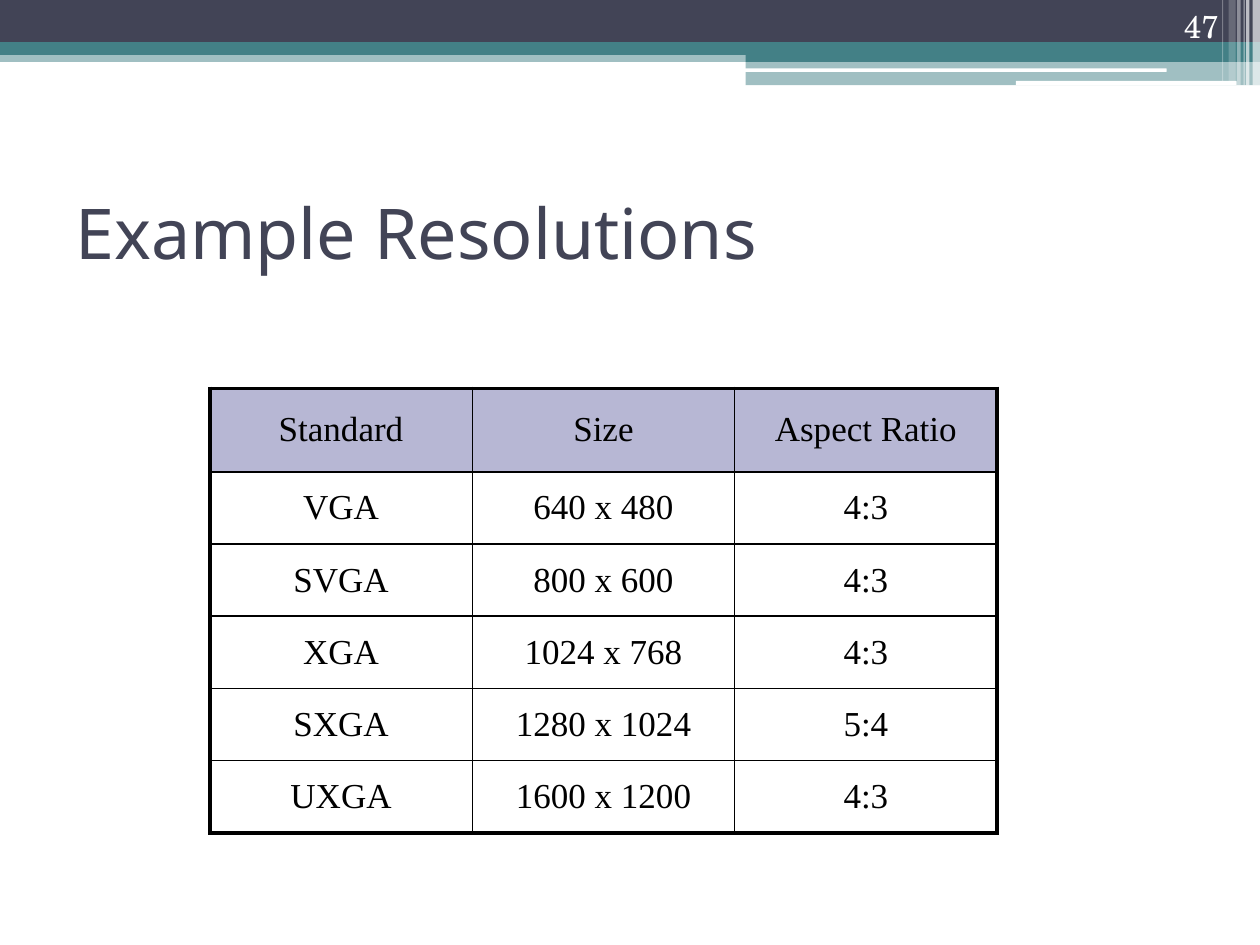
import pptx
import pptx.util
import pptx.dml.color
import pptx.enum.shapes
import pptx.enum.text
import pptx.oxml
import pptx.oxml.ns
import lxml.etree

Cm = pptx.util.Cm
Pt = pptx.util.Pt
COLORS = {"navy": "424456", "teal": "438086", "white": "FFFFFF",
          "black": "000000", "header": "B7B7D4"}
RECTANGLE = pptx.enum.shapes.MSO_SHAPE.RECTANGLE
ROUNDED = pptx.enum.shapes.MSO_SHAPE.ROUNDED_RECTANGLE
ALIGN = pptx.enum.text.PP_ALIGN
ANCHOR = pptx.enum.text.MSO_ANCHOR


def rgb(name):
    return pptx.dml.color.RGBColor.from_string(COLORS[name])


def write_text(frame, text, font_name, size, color, alignment):
    paragraph = frame.paragraphs[0]
    paragraph.text = text
    paragraph.alignment = alignment
    paragraph.font.name = font_name
    paragraph.font.size = Pt(size)
    paragraph.font.color.rgb = rgb(color)


presentation = pptx.Presentation()
presentation.slide_width = Cm(25.4)
presentation.slide_height = Cm(19.05)
slide = presentation.slides.add_slide(presentation.slide_layouts[6])

bands = [
    (RECTANGLE, 0, 1.02, 25.4, 0.23, "teal", 50),
    (RECTANGLE, 0, 0, 25.4, 0.86, "navy", 100),
    (RECTANGLE, 0, 0.85, 25.4, 0.26, "teal", 100),
    (RECTANGLE, 15.03, 0.99, 10.37, 0.26, "teal", 100),
    (RECTANGLE, 15.03, 1.25, 10.37, 0.47, "teal", 50),
    (ROUNDED, 15.01, 1.38, 8.51, 0.07, "white", 100),
    (ROUNDED, 20.48, 1.63, 4.45, 0.09, "white", 100),
]
stripes = [(25.25, 0.15, 1.73, 65), (25.12, 0.07, 1.73, 65), (25.07, 0.02, 1.73, 60),
           (24.94, 0.07, 1.73, 40), (24.77, 0.14, 1.63, 20), (24.64, 0.02, 1.63, 30)]
bands += [(RECTANGLE, left, 0, width, height, "white", opacity)
          for left, width, height, opacity in stripes]

for kind, left, top, width, height, color, opacity in bands:
    shape = slide.shapes.add_shape(kind, Cm(left), Cm(top), Cm(width), Cm(height))
    shape.shadow.inherit = False
    shape.line.fill.background()
    shape.fill.solid()
    shape.fill.fore_color.rgb = rgb(color)
    if opacity < 100:
        color_element = shape.fill._xPr.find(".//" + pptx.oxml.ns.qn("a:srgbClr"))
        alpha = lxml.etree.SubElement(color_element, pptx.oxml.ns.qn("a:alpha"))
        alpha.set("val", str(opacity * 1000))

labels = [
    ("Example Resolutions", 1.27, 3.18, 22.86, 2.97, "Noto Sans", 40, "navy",
     ALIGN.LEFT, ANCHOR.MIDDLE),
    ("47", 22.71, 0, 2.11, 1.02, "TeX Gyre Schola", 18, "white",
     ALIGN.RIGHT, ANCHOR.BOTTOM),
]
for text, left, top, width, height, font_name, size, color, alignment, anchor in labels:
    box = slide.shapes.add_textbox(Cm(left), Cm(top), Cm(width), Cm(height))
    box.text_frame.word_wrap = True
    box.text_frame.vertical_anchor = anchor
    write_text(box.text_frame, text, font_name, size, color, alignment)

resolutions = [
    ("Standard", "Size", "Aspect Ratio"),
    ("VGA", "640 x 480", "4:3"),
    ("SVGA", "800 x 600", "4:3"),
    ("XGA", "1024 x 768", "4:3"),
    ("SXGA", "1280 x 1024", "5:4"),
    ("UXGA", "1600 x 1200", "4:3"),
]
row_count, column_count = len(resolutions), len(resolutions[0])
table = slide.shapes.add_table(row_count, column_count, Cm(4.23), Cm(7.83),
                               Cm(15.87), Cm(8.96)).table
table.first_row = False
table.horz_banding = False
for column in table.columns:
    column.width = Cm(5.29)
for row_index, row in enumerate(table.rows):
    row.height = Cm(1.68 if row_index == 0 else 1.456)
    for column_index, text in enumerate(resolutions[row_index]):
        cell = table.cell(row_index, column_index)
        cell.vertical_anchor = ANCHOR.MIDDLE
        write_text(cell.text_frame, text, "Times New Roman", 20, "black", ALIGN.CENTER)
        outer_edges = {"lnL": column_index == 0, "lnR": column_index == column_count - 1,
                       "lnT": row_index == 0, "lnB": row_index == row_count - 1}
        properties = cell._tc.get_or_add_tcPr()
        for edge, is_outer in outer_edges.items():
            properties.append(pptx.oxml.parse_xml(
                f'<a:{edge} {pptx.oxml.ns.nsdecls("a")} w="{Pt(2.25 if is_outer else 1)}">'
                f'<a:solidFill><a:srgbClr val="{COLORS["black"]}"/></a:solidFill></a:{edge}>'))
        if row_index == 0:
            cell.fill.solid()
            cell.fill.fore_color.rgb = rgb("header")
        else:
            cell.fill.background()

presentation.save("out.pptx")
